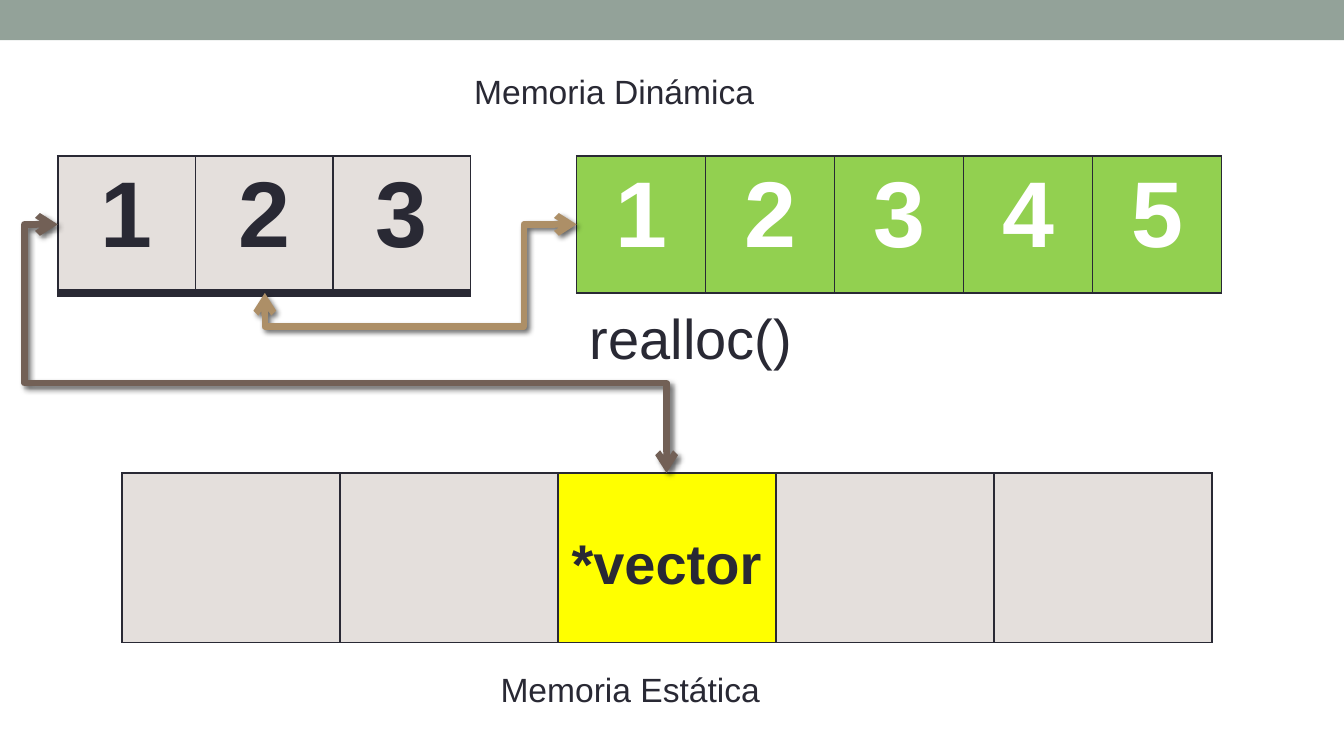
from lxml import etree
from pptx import Presentation
from pptx.dml.color import RGBColor
from pptx.enum import shapes, text
from pptx.oxml import parse_xml
from pptx.oxml.ns import nsdecls, qn
from pptx.util import Inches, Pt

FONT = "Arial"
INK = RGBColor(0x29, 0x29, 0x34)
SAGE = RGBColor(0x93, 0xA2, 0x99)
STONE = RGBColor(0xE4, 0xDF, 0xDC)
GREEN = RGBColor(0x92, 0xD0, 0x50)
YELLOW = RGBColor(0xFF, 0xFF, 0x00)
WHITE = RGBColor(0xFF, 0xFF, 0xFF)
BROWN = RGBColor(0x72, 0x60, 0x56)
TAN = RGBColor(0xAD, 0x8F, 0x67)

# Content: memory blocks, captions and pointers
CENTER, LEFT = text.PP_ALIGN.CENTER, text.PP_ALIGN.LEFT
BLOCKS = [
    dict(values=["1", "2", "3"], at=(0.43, 1.16, 3.07, 1.02), fill=STONE,
         color=INK, size=50, align=CENTER, top=0.05, bottom_line=4.5),
    dict(values=["1", "2", "3", "4", "5"], at=(4.29, 1.16, 4.8, 1.02), fill=GREEN,
         color=WHITE, size=50, align=CENTER, top=0.05, bottom_line=1),
    dict(values=["", "", "*vector", "", ""], at=(0.91, 3.52, 8.11, 1.26), fill=STONE,
         color=INK, size=30, align=LEFT, top=0.45, bottom_line=1),
]
CAPTIONS = [
    ("Memoria Estática", (2.09, 4.93, 5.2, 0.4), 18, CENTER),
    ("Memoria Dinámica", (1.46, 0.48, 6.22, 0.4), 18, CENTER),
    ("realloc()", (4.29, 2.21, 2.83, 0.61), 30, LEFT),
]
# Start, end, colour, rotation, flips, bend adjustments
POINTERS = [
    ((4.96, 3.52), (0.43, 1.67), BROWN, 270, ["flipV"], (36200, 105500)),
    ((1.97, 2.18), (4.29, 1.67), TAN, 90, ["flipH", "flipV"], (-48800, 83100)),
]


def style(para, size, color, align, bold=False):
    para.alignment = align
    for span in para.runs:
        span.font.name = FONT
        span.font.size = Pt(size)
        span.font.bold = bold
        span.font.color.rgb = color


def set_borders(cell, bottom_line):
    widths = {"lnL": 1, "lnR": 1, "lnT": 1, "lnB": bottom_line}
    for place, (side, width) in enumerate(widths.items()):
        border = parse_xml(
            f'<a:{side} {nsdecls("a")} w="{Pt(width)}"><a:solidFill>'
            f'<a:srgbClr val="{INK}"/></a:solidFill></a:{side}>')
        cell._tc.get_or_add_tcPr().insert(place, border)


def add_block(page, values, at, fill, color, size, align, top, bottom_line):
    table = page.shapes.add_table(1, len(values), *map(Inches, at)).table
    table.first_row = table.horz_banding = False
    for column, value in enumerate(values):
        table.columns[column].width = Inches(at[2] / len(values))
        cell = table.cell(0, column)
        cell.margin_top = Inches(top)
        cell.text = value
        style(cell.text_frame.paragraphs[0], size, color, align, bold=True)
        cell.fill.solid()
        cell.fill.fore_color.rgb = YELLOW if value == "*vector" else fill
        set_borders(cell, bottom_line)


def add_pointer(page, start, end, color, rotation, flips, bends):
    arrow = page.shapes.add_connector(
        shapes.MSO_CONNECTOR.ELBOW, *map(Inches, start + end))
    # A quarter turn swaps width and height about the same centre
    across, down = (abs(a - b) for a, b in zip(start, end))
    middle_x, middle_y = ((a + b) / 2 for a, b in zip(start, end))
    arrow.left, arrow.top = Inches(middle_x - down / 2), Inches(middle_y - across / 2)
    arrow.width, arrow.height = Inches(down), Inches(across)
    props = arrow._element.spPr
    frame = props.find(qn("a:xfrm"))
    for flip in ("flipH", "flipV"):
        frame.set(flip, str(int(flip in flips)))
    frame.set("rot", str(rotation * 60000))

    # Bends
    outline = props.find(qn("a:prstGeom"))
    outline.set("prst", "bentConnector4")
    guides = outline.find(qn("a:avLst"))
    for number, bend in enumerate(bends, 1):
        etree.SubElement(guides, qn("a:gd"), name=f"adj{number}", fmla=f"val {bend}")

    # Line, arrowheads and soft shadow
    arrow.line.color.rgb = color
    arrow.line.width = Pt(3.5)
    for tip in ("a:headEnd", "a:tailEnd"):
        etree.SubElement(arrow.line._ln, qn(tip), type="arrow")
    props.append(parse_xml(
        f'<a:effectLst {nsdecls("a")}><a:outerShdw blurRad="{Pt(3)}" dist="{Pt(2)}" '
        'dir="2700000" algn="tl" rotWithShape="0"><a:srgbClr val="000000">'
        '<a:alpha val="60000"/></a:srgbClr></a:outerShdw></a:effectLst>'))


def add_caption(page, words, at, size, align):
    box = page.shapes.add_textbox(*map(Inches, at))
    box.text_frame.word_wrap = True
    box.text_frame.text = words
    style(box.text_frame.paragraphs[0], size, INK, align)


def main():
    # Widescreen page, 16:9
    deck = Presentation()
    deck.slide_width = Inches(10)
    deck.slide_height = Inches(10 * 9 / 16)
    page = deck.slides.add_slide(deck.slide_layouts[6])

    # Top band
    band = page.shapes.add_shape(
        shapes.MSO_SHAPE.RECTANGLE, 0, 0, deck.slide_width, Inches(0.3))
    band.shadow.inherit = False
    band.fill.solid()
    band.fill.fore_color.rgb = SAGE
    band.line.fill.background()

    for block in BLOCKS:
        add_block(page, **block)
    for caption in CAPTIONS:
        add_caption(page, *caption)
    for pointer in POINTERS:
        add_pointer(page, *pointer)
    deck.save("out.pptx")


if __name__ == "__main__":
    main()
